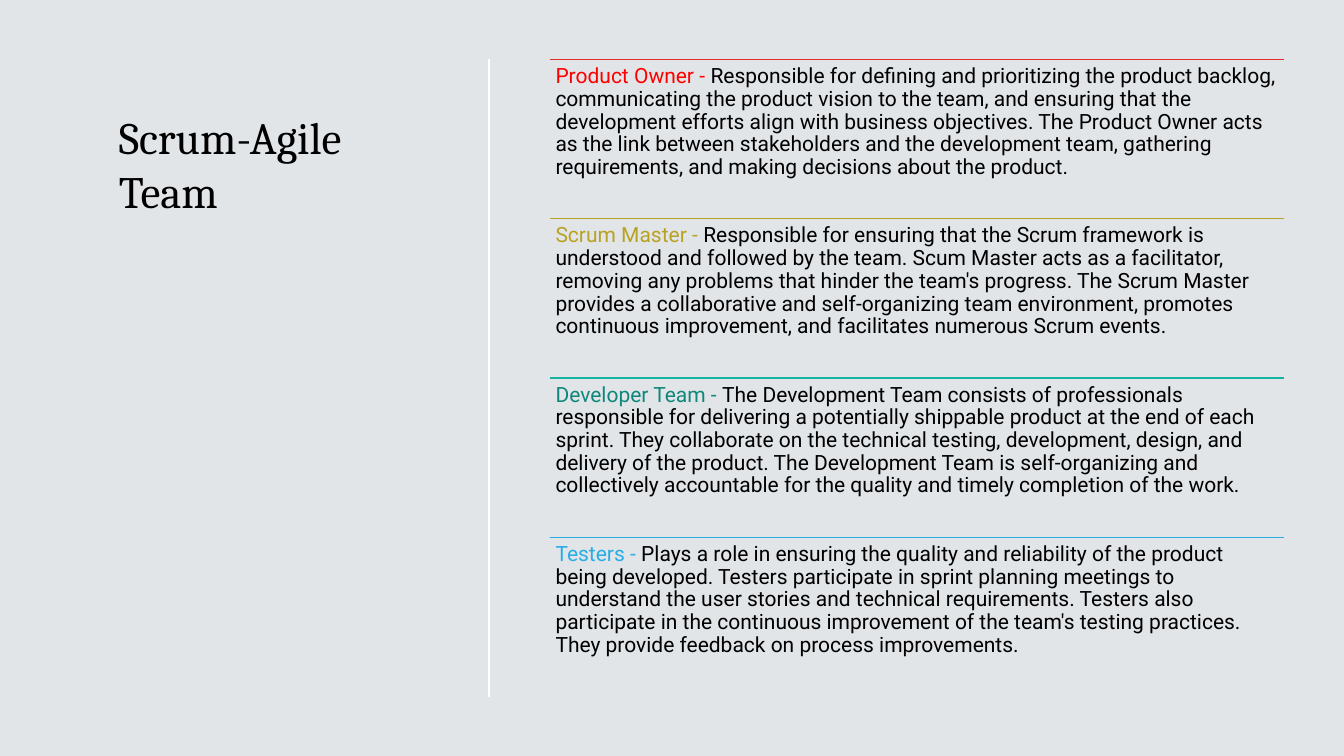
from dataclasses import dataclass
from lxml.etree import SubElement
from pptx import Presentation
from pptx.dml.color import RGBColor as Rgb
from pptx.enum.shapes import MSO_CONNECTOR as Connector
from pptx.enum.text import MSO_ANCHOR as Anchor
from pptx.oxml.ns import qn
from pptx.util import Inches, Pt


@dataclass(frozen=True)
class Theme:
    """Colours, fonts and type sizes of the slide."""
    backdrop: str = "E2E5E8"
    ink: str = "000000"
    divider: str = "FFFFFF"
    title_font: str = "Cambria"
    body_font: str = "Roboto"
    title_size: float = 32
    body_size: float = 15
    divider_width: float = 1
    rule_width: float = 0.75


THEME = Theme()

ROLES = [
    ("Product Owner", "FF0000", "E72D29",
     "Responsible for defining and prioritizing the product backlog, communicating the "
     "product vision to the team, and ensuring that the development efforts align with "
     "business objectives. The Product Owner acts as the link between stakeholders and the "
     "development team, gathering requirements, and making decisions about the product."),
    ("Scrum Master", "B8A221", "B8A221",
     "Responsible for ensuring that the Scrum framework is understood and followed by the "
     "team. Scum Master acts as a facilitator, removing any problems that hinder the team's "
     "progress. The Scrum Master provides a collaborative and self-organizing team "
     "environment, promotes continuous improvement, and facilitates numerous Scrum events."),
    ("Developer Team", "0F877A", "14B4A3",
     "The Development Team consists of professionals responsible for delivering a "
     "potentially shippable product at the end of each sprint. They collaborate on the "
     "technical testing, development, design, and delivery of the product. The Development "
     "Team is self-organizing and collectively accountable for the quality and timely "
     "completion of the work."),
    ("Testers", "29ADE7", "29ADE7",
     "Plays a role in ensuring the quality and reliability of the product being developed. "
     "Testers participate in sprint planning meetings to understand the user stories and "
     "technical requirements. Testers also participate in the continuous improvement of the "
     "team's testing practices. They provide feedback on process improvements."),
]


def apply_format(target, values):
    """Set every attribute named in values on the target."""
    for name, value in values.items():
        setattr(target, name, value)


def add_line(page, start, end, color, width):
    """Draw a straight line without a shadow."""
    line = page.shapes.add_connector(Connector.STRAIGHT, *map(Inches, start + end))
    line.line.color.rgb = Rgb.from_string(color)
    line.line.width = Pt(width)
    SubElement(line._element.spPr, qn("a:effectLst"))


def add_text(page, box, spans, font, size, inset, spacing):
    """Write one paragraph of coloured spans in a box and return it."""
    frame = page.shapes.add_textbox(*map(Inches, box)).text_frame
    margins = dict(zip(("margin_left", "margin_top", "margin_right", "margin_bottom"),
                       map(Inches, inset)))
    apply_format(frame, {"word_wrap": True, "vertical_anchor": Anchor.TOP, **margins})
    para = frame.paragraphs[0]
    para.line_spacing = spacing
    for text, color in spans:
        span = para.add_run()
        span.text = text
        apply_format(span.font, {"name": font, "size": Pt(size)})
        span.font.color.rgb = Rgb.from_string(color)


def add_title(page, box):
    """Place the slide title in its box."""
    add_text(page, box, [("Scrum-Agile Team", THEME.ink)], THEME.title_font,
             THEME.title_size, (0.1, 0.05, 0.1, 0.05), 1.0)


def add_divider(page, box):
    """Draw the vertical divider down the left edge of the box."""
    left, top, _, height = box
    add_line(page, (left, top), (left, top + height), THEME.divider, THEME.divider_width)


def add_roles(page, box):
    """Stack the roles in equal rows, each under its coloured rule."""
    left, top, width, height = box
    row_height = height / len(ROLES)
    for index, (role, color, rule_color, duty) in enumerate(ROLES):
        row_top = top + index * row_height
        add_line(page, (left, row_top), (left + width, row_top), rule_color, THEME.rule_width)
        add_text(page, (left, row_top, width, row_height),
                 [(f"{role} - ", color), (duty, THEME.ink)],
                 THEME.body_font, THEME.body_size, (0.06,) * 4, 0.9)


def build_deck():
    """Build the one-slide deck and save it."""
    deck = Presentation()
    apply_format(deck, {"slide_width": Inches(13.33), "slide_height": Inches(7.5)})
    page = deck.slides.add_slide(deck.slide_layouts[6])
    fill = page.background.fill
    fill.solid()
    fill.fore_color.rgb = Rgb.from_string(THEME.backdrop)
    add_title(page, (1.08, 1.04, 3.06, 5.13))
    add_divider(page, (4.85, 0.59, 0, 6.32))
    add_roles(page, (5.45, 0.59, 7.29, 6.32))
    deck.save("out.pptx")


build_deck()
